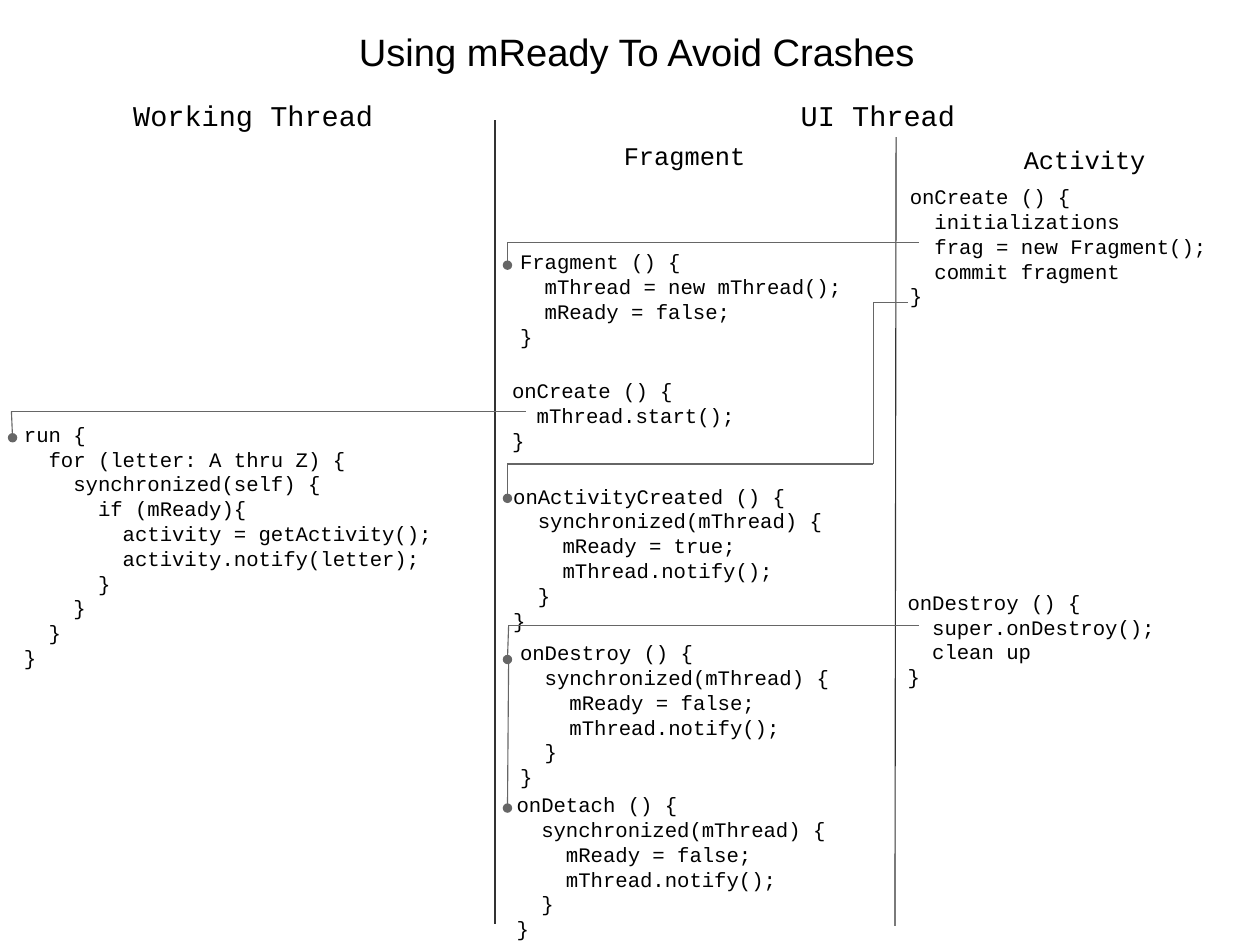
import pptx
import pptx.util
import pptx.dml.color
import pptx.enum.text
import pptx.enum.shapes
import pptx.oxml.ns
import lxml.etree

Inches = pptx.util.Inches
Pt = pptx.util.Pt
qn = pptx.oxml.ns.qn
align = pptx.enum.text.PP_ALIGN
hues = {"text": "000000", "rule": "333333", "call": "666666"}


def put_text(box, words, size, face, side):
    frame = box.text_frame
    frame.word_wrap = True
    frame.auto_size = pptx.enum.text.MSO_AUTO_SIZE.NONE
    frame.margin_left = frame.margin_right = Inches(0.11)
    frame.margin_top = frame.margin_bottom = Inches(0.06)
    frame.text = words
    for para in frame.paragraphs:
        para.alignment = side
        para.font.size = Pt(size)
        para.font.name = face
        para.font.color.rgb = pptx.dml.color.RGBColor.from_string(hues["text"])


def add_line(start, end, hue, width, dot=False):
    ends = [Inches(v) for v in (*start, *end)]
    line = slide.shapes.add_connector(pptx.enum.shapes.MSO_CONNECTOR.STRAIGHT, *ends)
    line.line.color.rgb = pptx.dml.color.RGBColor.from_string(hues[hue])
    line.line.width = Pt(width)
    props = line.element.spPr
    if dot:
        lxml.etree.SubElement(props.find(qn("a:ln")), qn("a:tailEnd"), type="oval")
    lxml.etree.SubElement(props, qn("a:effectLst"))


deck = pptx.Presentation()
deck.slide_width = Inches(28 / 2.54)
deck.slide_height = Inches(21 / 2.54)
slide = deck.slides.add_slide(deck.slide_layouts[5])

title = slide.shapes.title
title.left, title.top = Inches(0.61), Inches(0.1)
title.width, title.height = Inches(9.92), Inches(0.7)
put_text(title, "Using mReady To Avoid Crashes", 24, "Arial", align.CENTER)
title.text_frame.vertical_anchor = pptx.enum.text.MSO_ANCHOR.MIDDLE

heads = [
    ("Working Thread", 0.43, 0.8, 3.57, 18, 0.46),
    ("UI Thread", 4.34, 0.8, 6.68, 18, 0.46),
    ("Fragment", 4.34, 1.17, 3.3, 16, 0.42),
    ("Activity", 7.96, 1.2, 3.06, 16, 0.42),
]
for words, left, top, width, size, height in heads:
    box = slide.shapes.add_textbox(Inches(left), Inches(top), Inches(width), Inches(height))
    put_text(box, words, size, "Courier New", align.CENTER)

run_code = """run {
  for (letter: A thru Z) {
    synchronized(self) {
      if (mReady){
        activity = getActivity();
        activity.notify(letter);
      }
    }
  }
}"""
start_code = """onCreate () {
  initializations
  frag = new Fragment();
  commit fragment
}"""
new_code = """Fragment () {
  mThread = new mThread();
  mReady = false;
}"""
make_code = """onCreate () {
  mThread.start();
}"""
end_code = """onDestroy () {
  super.onDestroy();
  clean up
}"""
lock_code = """{} () {{
  synchronized(mThread) {{
    mReady = {};
    mThread.notify();
  }}
}}"""
blocks = [
    (run_code, 0.1, 3.63, 4.2),
    (start_code, 7.85, 1.55, 3.17),
    (new_code, 4.44, 2.12, 3.26),
    (make_code, 4.37, 3.25, 3.26),
    (lock_code.format("onActivityCreated", "true"), 4.38, 4.17, 3.25),
    (lock_code.format("onDestroy", "false"), 4.44, 5.54, 3.18),
    (lock_code.format("onDetach", "false"), 4.41, 6.87, 3.28),
    (end_code, 7.83, 5.1, 3.19),
]
for code, left, top, width in blocks:
    rows = len(code.splitlines())
    box = slide.shapes.add_textbox(
        Inches(left), Inches(top), Inches(width), Inches(0.22 * rows + 0.06))
    put_text(box, code, 13, "Courier New", align.LEFT)

add_line((4.33, 1.05), (4.33, 8.08), "rule", 1.45)
add_line((7.84, 1.2), (7.83, 8.1), "rule", 0.71)

calls = [
    [(8.04, 2.12), (4.44, 2.12), (4.44, 2.32)],
    [(7.94, 2.65), (7.64, 2.65), (7.64, 4.06), (4.44, 4.06), (4.44, 4.36)],
    [(4.6, 3.6), (0.1, 3.6), (0.11, 3.83)],
    [(8.04, 5.47), (4.45, 5.47), (4.44, 5.77)],
    [(4.45, 5.77), (4.44, 7.07)],
]
for stops in calls:
    for start, end in zip(stops, stops[1:]):
        add_line(start, end, "call", 0.71, dot=end == stops[-1])

deck.save("out.pptx")
